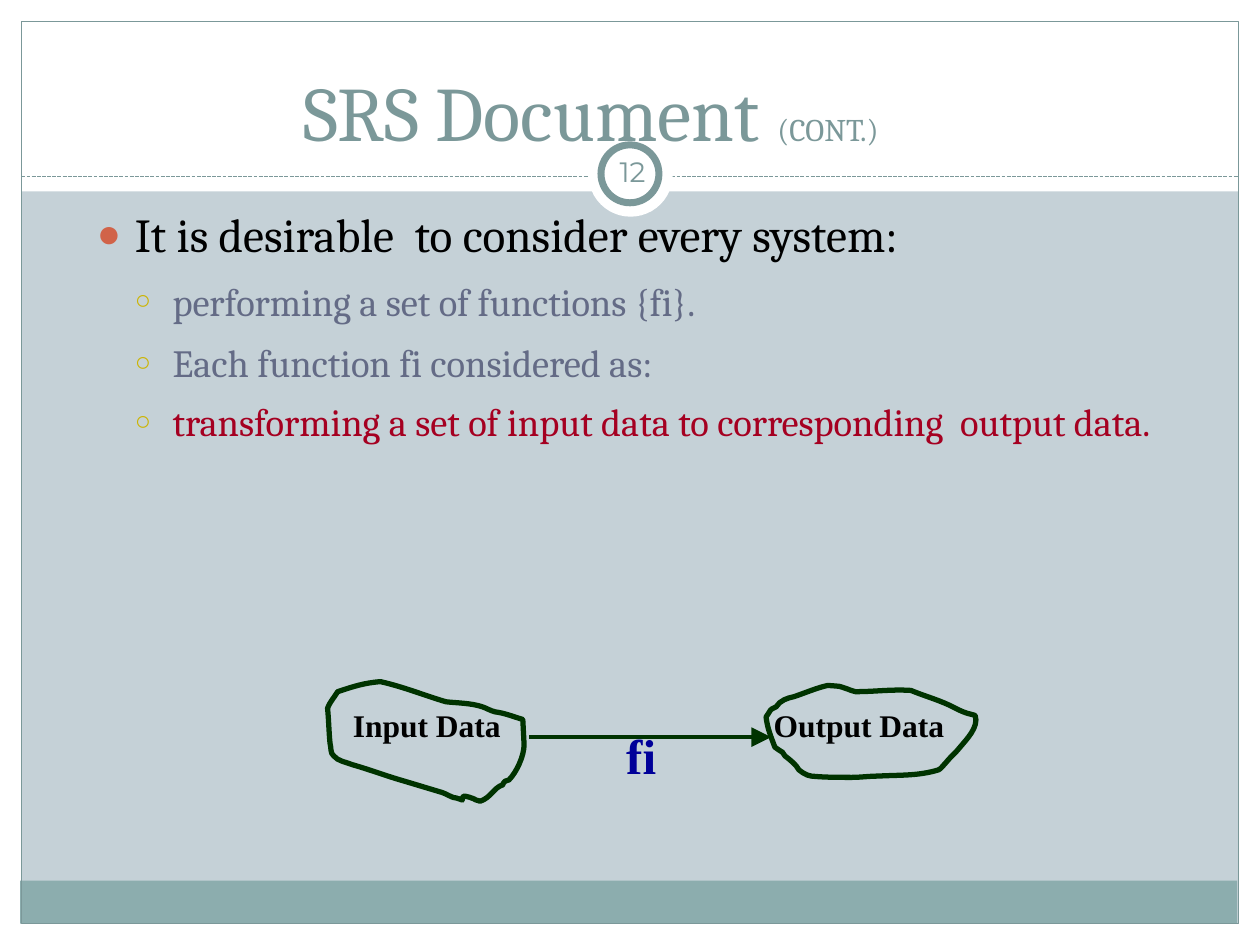
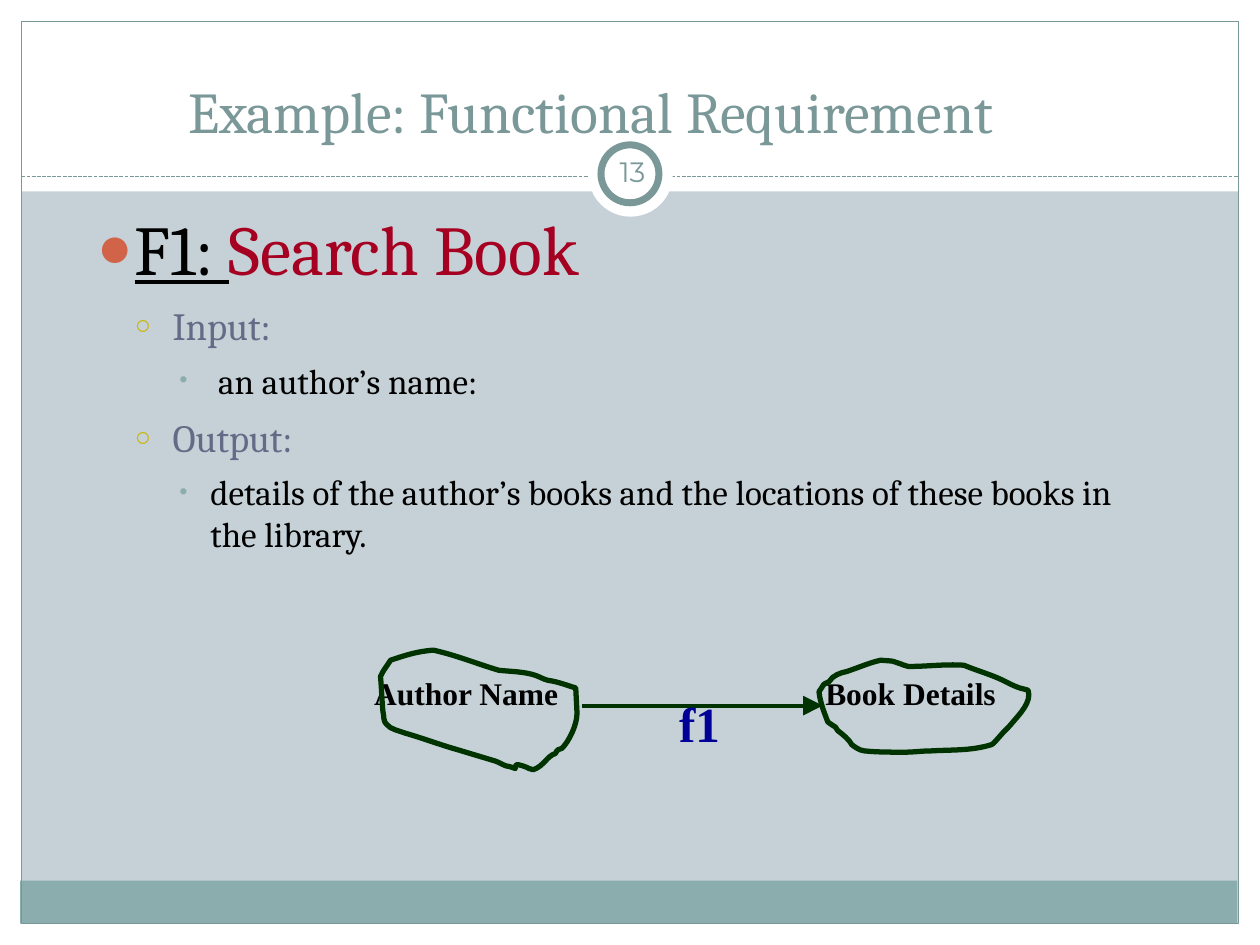
"""Build two slides on functional requirements in an SRS document."""
from dataclasses import dataclass

from lxml import etree
from pptx import Presentation
from pptx.dml.color import RGBColor
from pptx.enum.dml import MSO_LINE
from pptx.enum.shapes import MSO_CONNECTOR, MSO_SHAPE
from pptx.enum.text import MSO_ANCHOR, PP_ALIGN
from pptx.oxml.ns import qn
from pptx.util import Inches, Pt

RECTANGLE, OVAL = MSO_SHAPE.RECTANGLE, MSO_SHAPE.OVAL
STRAIGHT, DASHED = MSO_CONNECTOR.STRAIGHT, MSO_LINE.SQUARE_DOT
TOP, MIDDLE = MSO_ANCHOR.TOP, MSO_ANCHOR.MIDDLE
LEFT, CENTER = PP_ALIGN.LEFT, PP_ALIGN.CENTER


@dataclass(frozen=True)
class Theme:
    background: str = "C5D1D7"
    white: str = "FFFFFF"
    black: str = "000000"
    band: str = "8CADAE"
    accent: str = "7B9899"
    slate: str = "646B86"
    red: str = "A50021"
    green: str = "003300"
    blue: str = "000099"
    orange: str = "D16349"
    yellow: str = "CCB400"
    serif: str = "Cambria"
    number_font: str = "Montserrat"
    diagram_font: str = "Times New Roman"
    bullet_font: str = "Times New Roman"
    title: int = 44
    small_title: int = 33
    suffix: int = 18
    number: int = 16
    headline: int = 40
    point: int = 27
    subpoint: int = 22
    detail: int = 20
    data_label: int = 18
    function_label: int = 28


THEME = Theme()

BULLETS = [
    ("●", THEME.orange, 85, 0.3, 0.3),
    ("○", THEME.yellow, 70, 0.6, 0.3),
    ("•", THEME.band, 75, 0.9, 0.25),
]

FURNITURE = [
    (RECTANGLE, (0, 7.33, 10, 0.17), THEME.white, 0),
    (RECTANGLE, (0, 0, 10, 1.52), THEME.white, 0),
    (RECTANGLE, (0, 0, 0.17, 7.5), THEME.white, 0),
    (RECTANGLE, (9.83, 0, 0.17, 7.5), THEME.white, 0),
    (RECTANGLE, (0.16, 6.99, 9.66, 0.34), THEME.band, 0),
    (RECTANGLE, (0.17, 0.17, 9.66, 7.16), None, 0.75),
    (None, (0.17, 1.4, 9.83, 1.4), None, 0.75),
    (OVAL, (4.67, 1.05, 0.67, 0.67), THEME.white, 0),
    (OVAL, (4.77, 1.15, 0.46, 0.46), THEME.white, 4),
]

# Each outline is a start point followed by three points for every curve.
INPUT_OUTLINE = [
    (4.15, 5.71), (4.08, 5.69), (4.01, 5.66), (3.93, 5.65),
    (3.89, 5.64), (3.86, 5.62), (3.83, 5.61), (3.74, 5.58), (3.63, 5.58), (3.54, 5.57),
    (3.37, 5.52), (3.2, 5.45), (3.02, 5.41), (2.89, 5.42), (2.8, 5.45), (2.68, 5.49),
    (2.65, 5.54), (2.62, 5.57), (2.6, 5.62), (2.61, 5.72), (2.61, 5.8), (2.62, 5.9),
    (2.63, 5.93), (2.62, 5.98), (2.65, 6), (2.68, 6.04), (2.75, 6.05), (2.8, 6.07),
    (2.94, 6.11), (3.07, 6.16), (3.21, 6.2), (3.31, 6.23), (3.41, 6.26), (3.51, 6.29),
    (3.54, 6.3), (3.57, 6.32), (3.6, 6.33), (3.62, 6.33), (3.67, 6.35), (3.67, 6.35),
    (3.67, 6.34), (3.67, 6.32), (3.68, 6.32), (3.68, 6.31), (3.77, 6.34), (3.78, 6.35),
    (3.79, 6.35), (3.81, 6.36), (3.81, 6.36), (3.9, 6.33), (3.92, 6.25), (3.99, 6.23),
    (3.99, 6.22), (4, 6.21), (4.01, 6.2), (4.02, 6.19), (4.03, 6.2), (4.04, 6.19),
    (4.1, 6.13), (4.16, 6), (4.16, 5.91),
]
OUTPUT_OUTLINE = [
    (6.08, 5.69), (6.13, 5.62), (6.1, 5.64), (6.16, 5.61),
    (6.19, 5.56), (6.25, 5.54), (6.3, 5.53), (6.39, 5.5), (6.48, 5.46), (6.57, 5.44),
    (6.69, 5.45), (6.64, 5.44), (6.73, 5.47), (6.75, 5.48), (6.79, 5.49), (6.79, 5.49),
    (6.95, 5.49), (7.07, 5.47), (7.23, 5.48), (7.35, 5.53), (7.47, 5.56), (7.58, 5.62),
    (7.62, 5.64), (7.66, 5.66), (7.71, 5.67), (7.72, 5.67), (7.74, 5.68), (7.74, 5.68),
    (7.77, 5.77), (7.67, 5.87), (7.62, 5.93), (7.59, 5.97), (7.55, 6), (7.51, 6.05),
    (7.49, 6.07), (7.47, 6.1), (7.45, 6.11), (7.29, 6.16), (7.14, 6.15), (6.97, 6.16),
    (6.9, 6.16), (6.83, 6.17), (6.76, 6.17), (6.65, 6.17), (6.54, 6.17), (6.44, 6.16),
    (6.4, 6.16), (6.34, 6.11), (6.34, 6.11), (6.32, 6.07), (6.27, 6.03), (6.23, 6),
    (6.22, 5.99), (6.22, 5.98), (6.21, 5.97), (6.19, 5.96), (6.15, 5.93), (6.15, 5.93),
    (6.12, 5.85), (6.09, 5.78), (6.08, 5.69),
]

SLIDES = [
    {
        "number": "12",
        "title_box": (0.44, 0.25, 8.5, 1.25),
        "title": (10, None, [("SRS Document ", THEME.title, THEME.accent),
                             ("(CONT.)", THEME.suffix, THEME.accent)]),
        "body": [
            (10, 0, [("It is desirable  to consider every system:", THEME.point, THEME.black)]),
            (8.9, 1, [("performing a set of functions {fi}.", THEME.subpoint, THEME.slate)]),
            (8.9, 1, [("Each function fi considered as:", THEME.subpoint, THEME.slate)]),
            (7.3, 1, [("transforming a set of input data to corresponding  output data.",
                       THEME.subpoint, THEME.red)]),
        ],
        "labels": [("Input Data", 2.78, 5.6), ("Output Data", 6.12, 5.6)],
        "function": ("fi", 4.95, 5.78),
        "arrow": (4.2, 5.85, 6.12, 5.85),
        "outline_shifts": [(0, 0), (0, 0)],
    },
    {
        "number": "13",
        "title_box": (0.44, 0.18, 8.5, 1.39),
        "title": (5.4, None, [("Example: Functional Requirement",
                               THEME.small_title, THEME.accent)]),
        "body": [
            (8, 0, [("F1: ", THEME.headline, THEME.black, True),
                    ("Search Book", THEME.headline, THEME.red)]),
            (7.3, 1, [("Input:", THEME.subpoint, THEME.slate)]),
            (6.2, 2, [(" an author’s name:", THEME.detail, THEME.black)]),
            (7.3, 1, [("Output:", THEME.subpoint, THEME.slate)]),
            (6.2, 2, [("details of the author’s books and the locations of these books "
                       "in the library.", THEME.detail, THEME.black)]),
        ],
        "labels": [("Author Name", 2.95, 5.35), ("Book Details", 6.53, 5.35)],
        "function": ("f1", 5.37, 5.53),
        "arrow": (4.62, 5.6, 6.53, 5.6),
        "outline_shifts": [(0.42, -0.25), (0.42, -0.2)],
    },
]


def add_text(slide, box, paragraphs, font=THEME.serif, anchor=TOP, align=LEFT,
             side_inset=0.02, line_spacing=None, bold=False):
    frame = slide.shapes.add_textbox(*map(Inches, box)).text_frame
    frame.word_wrap = True
    frame.vertical_anchor = anchor
    frame.margin_left = frame.margin_right = Inches(side_inset)
    frame.margin_top = frame.margin_bottom = Inches(0.05)
    for index, (space_before, level, runs) in enumerate(paragraphs):
        paragraph = frame.add_paragraph() if index else frame.paragraphs[0]
        paragraph.alignment = align
        paragraph.space_before = Pt(space_before)
        if line_spacing:
            paragraph.line_spacing = line_spacing
        if level is not None:
            symbol, bullet_color, percent, margin, hanging = BULLETS[level]
            paragraph.level = level
            properties = paragraph._p.get_or_add_pPr()
            properties.set("marL", str(Inches(margin)))
            properties.set("indent", str(-Inches(hanging)))
            color_element = etree.SubElement(properties, qn("a:buClr"))
            etree.SubElement(color_element, qn("a:srgbClr"), val=bullet_color)
            etree.SubElement(properties, qn("a:buSzPct"), val=str(percent * 1000))
            etree.SubElement(properties, qn("a:buFont"), typeface=THEME.bullet_font)
            etree.SubElement(properties, qn("a:buChar"), char=symbol)
        for text, size, color, *underline in runs:
            run = paragraph.add_run()
            run.text = text
            run.font.name = font
            run.font.size = Pt(size)
            run.font.bold = bold
            run.font.underline = bool(underline)
            run.font.color.rgb = RGBColor.from_string(color)


def add_line(slide, ends, color, width, dash=None, arrow=False):
    connector = slide.shapes.add_connector(STRAIGHT, *map(Inches, ends))
    connector.line.color.rgb = RGBColor.from_string(color)
    connector.line.width = Pt(width)
    if dash:
        connector.line.dash_style = dash
    if arrow:
        etree.SubElement(connector.line._get_or_add_ln(), qn("a:tailEnd"),
                         type="triangle", w="lg", len="lg")
    etree.SubElement(connector._element.spPr, qn("a:effectLst"))


presentation = Presentation()
presentation.slide_width = Inches(10)
presentation.slide_height = Inches(7.5)

for content in SLIDES:
    slide = presentation.slides.add_slide(presentation.slide_layouts[6])
    slide.background.fill.solid()
    slide.background.fill.fore_color.rgb = RGBColor.from_string(THEME.background)

    for preset, box, fill, line_width in FURNITURE:
        if preset is None:
            add_line(slide, box, THEME.accent, line_width, dash=DASHED)
            continue
        shape = slide.shapes.add_shape(preset, *map(Inches, box))
        shape.shadow.inherit = False
        if fill:
            shape.fill.solid()
            shape.fill.fore_color.rgb = RGBColor.from_string(fill)
        else:
            shape.fill.background()
        if line_width:
            shape.line.color.rgb = RGBColor.from_string(THEME.accent)
            shape.line.width = Pt(line_width)
        else:
            shape.line.fill.background()

    add_text(slide, content["title_box"], [content["title"]], anchor=MIDDLE, align=CENTER)
    add_text(slide, (4.77, 1.12, 0.5, 0.48),
             [(0, None, [(content["number"], THEME.number, THEME.accent)])],
             font=THEME.number_font, anchor=MIDDLE, align=CENTER, side_inset=0.05)
    add_text(slide, (0.75, 1.58, 8.5, 4.5), content["body"])

    for text, left, top in content["labels"]:
        add_text(slide, (left, top, 1.66, 0.4),
                 [(10.4, None, [(text, THEME.data_label, THEME.black)])],
                 font=THEME.diagram_font, line_spacing=0.85, bold=True)
    add_line(slide, content["arrow"], THEME.green, 2.25, arrow=True)
    text, left, top = content["function"]
    add_text(slide, (left, top, 1.25, 0.64),
             [(19.1, None, [(text, THEME.function_label, THEME.blue)])],
             font=THEME.diagram_font, line_spacing=0.85, bold=True)

    for outline, shift in zip((INPUT_OUTLINE, OUTPUT_OUTLINE), content["outline_shifts"]):
        points = [(Inches(x + shift[0]), Inches(y + shift[1])) for x, y in outline]
        builder = slide.shapes.build_freeform(*points[0])
        builder.add_line_segments(points[1:], close=True)
        shape = builder.convert_to_shape()
        segments = list(shape._element.iter(qn("a:lnTo")))
        for first in range(0, len(points) - 1, 3):
            curve = etree.Element(qn("a:cubicBezTo"))
            segments[first].addprevious(curve)
            for segment in segments[first:first + 3]:
                curve.append(segment[0])
                segment.getparent().remove(segment)
        shape.shadow.inherit = False
        shape.fill.background()
        shape.line.color.rgb = RGBColor.from_string(THEME.green)
        shape.line.width = Pt(3)

presentation.save("out.pptx")
